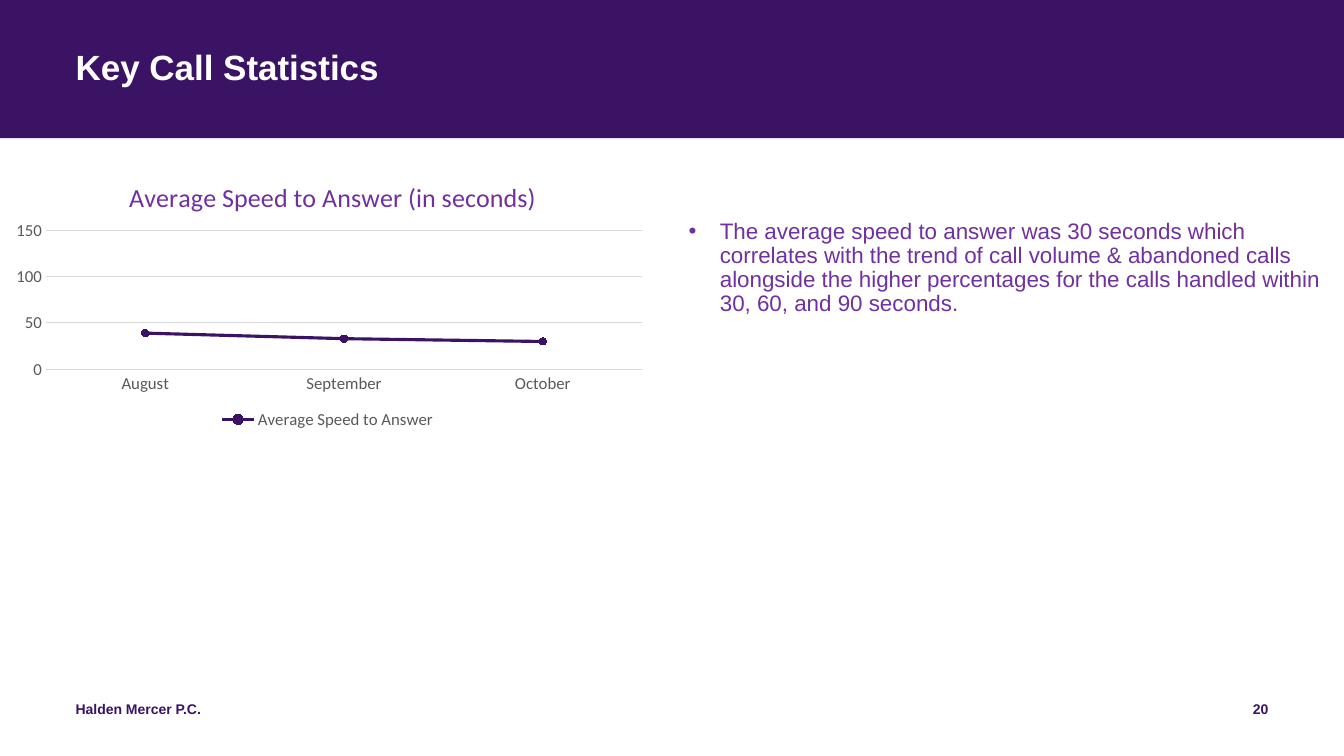
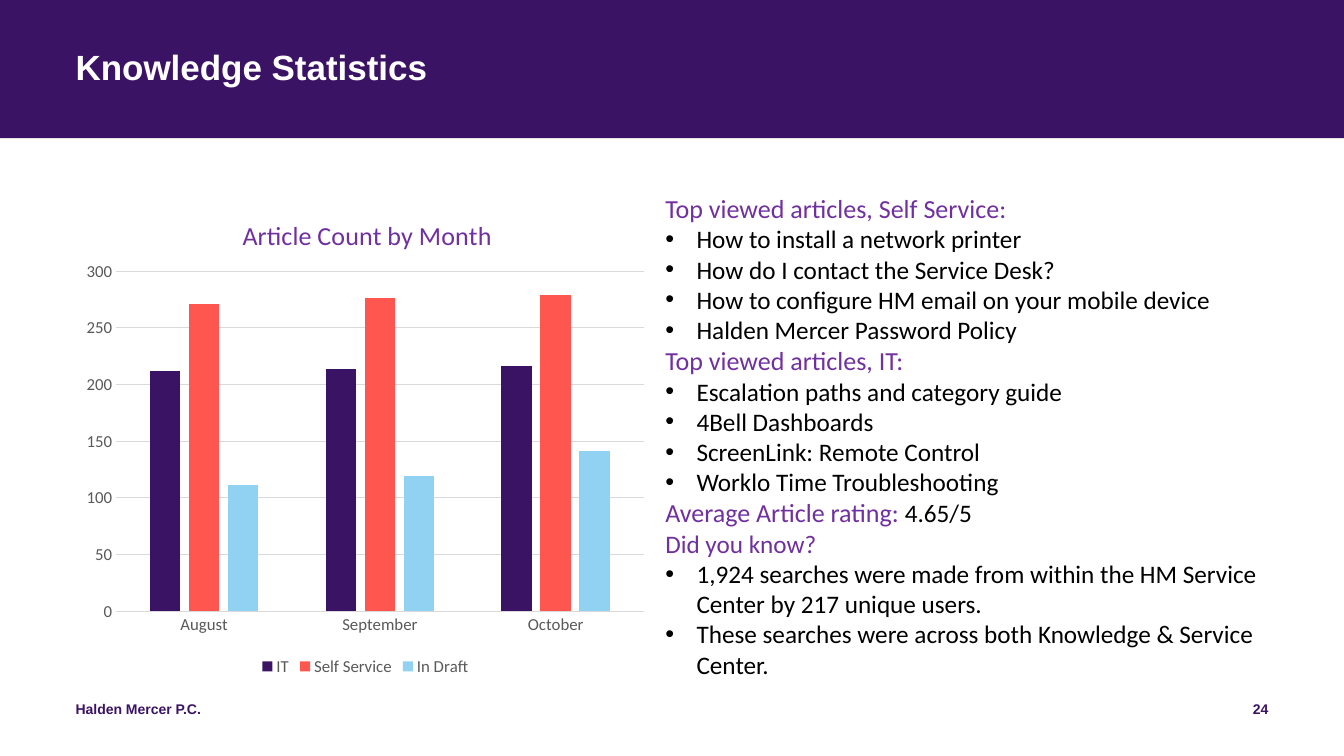
from dataclasses import dataclass

from pptx import Presentation
from pptx.chart.chart import Chart
from pptx.chart.data import CategoryChartData
from pptx.dml.color import RGBColor
from pptx.enum.chart import XL_CHART_TYPE, XL_LEGEND_POSITION, XL_MARKER_STYLE, XL_TICK_MARK
from pptx.enum.shapes import MSO_SHAPE
from pptx.enum.text import PP_ALIGN
from pptx.oxml import parse_xml
from pptx.oxml.ns import nsdecls, qn
from pptx.slide import Slide
from pptx.text.text import Font
from pptx.util import Inches, Pt


@dataclass(frozen=True)
class Theme:
    purple: str = "3B1365"
    violet: str = "7030A0"
    coral: str = "FF5750"
    sky: str = "91D2F2"
    white: str = "FFFFFF"
    black: str = "000000"
    axis_text: str = "595959"
    grid: str = "D9D9D9"
    heading_font: str = "Arial"
    body_font: str = "Calibri"
    title_size: float = 25
    heading_size: float = 18.6
    list_size: float = 18
    comment_size: float = 16
    axis_size: float = 12
    footer_size: float = 10


THEME = Theme()
SLIDE_WIDTH, SLIDE_HEIGHT = 13.33, 7.5
MONTHS = ("August", "September", "October")
FIRM = "Halden Mercer P.C."


@dataclass(frozen=True)
class Box:
    left: float
    top: float
    width: float
    height: float

    def emu(self) -> tuple[int, int, int, int]:
        return Inches(self.left), Inches(self.top), Inches(self.width), Inches(self.height)


@dataclass(frozen=True)
class Span:
    text: str
    color: str = THEME.black
    size: float = THEME.list_size


@dataclass(frozen=True)
class Line:
    spans: tuple[Span, ...]
    bullet: bool = False


@dataclass(frozen=True)
class Measure:
    name: str
    values: tuple[int, ...]
    color: str


@dataclass(frozen=True)
class ChartPlan:
    """Titles and plots are placed as fractions of the chart's box."""
    title: str
    kind: XL_CHART_TYPE
    box: Box
    measures: tuple[Measure, ...]
    axis_max: int
    title_at: tuple[float, float]
    plot_top: float
    plot_height: float


def heading(text: str, size: float = THEME.heading_size) -> Line:
    return Line((Span(text, THEME.violet, size),))


def bullets(*texts: str) -> list[Line]:
    return [Line((Span(text),), bullet=True) for text in texts]


def style_font(font: Font, *, face: str, size: float, color: str, bold: bool = False) -> None:
    font.name = face
    font.size = Pt(size)
    font.bold = bold
    font.color.rgb = RGBColor.from_string(color)


def add_text(slide: Slide, box: Box, lines: list[Line], *, face: str = THEME.heading_font,
             bold: bool = False, align: PP_ALIGN = PP_ALIGN.LEFT, spacing: float = 1,
             after: float = 0, insets: tuple[float, float] = (0, 0)) -> None:
    frame = slide.shapes.add_textbox(*box.emu()).text_frame
    frame.word_wrap = True
    frame.margin_left = frame.margin_right = Inches(insets[0])
    frame.margin_top = frame.margin_bottom = Inches(insets[1])
    for index, line in enumerate(lines):
        paragraph = frame.add_paragraph() if index else frame.paragraphs[0]
        paragraph.alignment = align
        paragraph.line_spacing = spacing
        paragraph.space_after = Pt(after)
        if line.bullet:
            add_bullet(paragraph._p.get_or_add_pPr())
        for span in line.spans:
            run = paragraph.add_run()
            run.text = span.text
            style_font(run.font, face=face, size=span.size, color=span.color, bold=bold)


def add_bullet(properties) -> None:
    indent = Inches(0.31)
    properties.set("marL", str(indent))
    properties.set("indent", str(-indent))
    properties.append(parse_xml(f'<a:buFont {nsdecls("a")} typeface="Arial"/>'))
    properties.append(parse_xml(f'<a:buChar {nsdecls("a")} char="•"/>'))


def add_framed_slide(deck: Presentation, title: str, number: int) -> Slide:
    """Add a slide with the title band and footer."""
    slide = deck.slides.add_slide(deck.slide_layouts[6])
    band = slide.shapes.add_shape(MSO_SHAPE.RECTANGLE, *Box(0, 0, SLIDE_WIDTH, 1.37).emu())
    band.shadow.inherit = False
    band.fill.solid()
    band.fill.fore_color.rgb = RGBColor.from_string(THEME.purple)
    band.line.fill.background()
    add_text(slide, Box(0.75, 0.5, 11.83, 0.81),
             [Line((Span(title, THEME.white, THEME.title_size),))], bold=True, spacing=0.9)
    for text, box, align in (
        (FIRM, Box(0.75, 6.95, 4.5, 0.4), PP_ALIGN.LEFT),
        (str(number), Box(9.58, 6.95, 3, 0.4), PP_ALIGN.RIGHT),
    ):
        add_text(slide, box, [Line((Span(text, THEME.purple, THEME.footer_size),))],
                 bold=True, align=align, after=6)
    return slide


def place(part, index: int, target: str = "", **fractions: float) -> None:
    """Give a chart title or plot area a manual layout."""
    for old in part.findall(qn("c:layout")):
        part.remove(old)
    inner = f'<c:layoutTarget val="{target}"/>' if target else ""
    modes = "".join(f'<c:{axis}Mode val="edge"/>' for axis in "xy")
    sizes = "".join(f'<c:{key} val="{value}"/>' for key, value in fractions.items())
    part.insert(index, parse_xml(
        f'<c:layout {nsdecls("c")}><c:manualLayout>{inner}{modes}{sizes}'
        f'</c:manualLayout></c:layout>'))


def style_axes(chart: Chart, maximum: int) -> None:
    months, amounts = chart.category_axis, chart.value_axis
    for axis in (months, amounts):
        axis.major_tick_mark = axis.minor_tick_mark = XL_TICK_MARK.NONE
        style_font(axis.tick_labels.font, face=THEME.body_font, size=THEME.axis_size,
                   color=THEME.axis_text)
    amounts.minimum_scale, amounts.maximum_scale, amounts.major_unit = 0, maximum, 50
    amounts.format.line.fill.background()
    amounts.has_major_gridlines = True
    for rule in (months.format.line, amounts.major_gridlines.format.line):
        rule.color.rgb = RGBColor.from_string(THEME.grid)
        rule.width = Pt(0.75)


def add_chart(slide: Slide, plan: ChartPlan) -> None:
    data = CategoryChartData()
    data.categories = MONTHS
    for measure in plan.measures:
        data.add_series(measure.name, measure.values)
    chart = slide.shapes.add_chart(plan.kind, *plan.box.emu(), data).chart
    style_font(chart.font, face=THEME.body_font, size=THEME.footer_size, color=THEME.black)

    chart.has_title = True
    title = chart.chart_title.text_frame
    title.text = plan.title
    style_font(title.paragraphs[0].runs[0].font, face=THEME.body_font,
               size=THEME.heading_size, color=THEME.violet)
    chart.has_legend = True
    chart.legend.position = XL_LEGEND_POSITION.BOTTOM
    chart.legend.include_in_layout = False
    style_font(chart.legend.font, face=THEME.body_font, size=THEME.axis_size,
               color=THEME.axis_text)
    style_axes(chart, plan.axis_max)

    plot = chart.plots[0]
    plot.vary_by_categories = False
    is_line = plan.kind == XL_CHART_TYPE.LINE_MARKERS
    if not is_line:
        plot.gap_width, plot.overlap = 219, -27
    for series, measure in zip(plot.series, plan.measures):
        color = RGBColor.from_string(measure.color)
        if is_line:
            series.smooth = False
            series.format.line.color.rgb = color
            series.format.line.width = Pt(2.25)
            series.marker.style = XL_MARKER_STYLE.CIRCLE
            series.marker.size = 5
            series.marker.format.line.color.rgb = color
            fill = series.marker.format.fill
        else:
            fill = series.format.fill
        fill.solid()
        fill.fore_color.rgb = color

    x, y = plan.title_at
    place(chart.element.find(f'.//{qn("c:title")}'), 1, x=x, y=y)
    place(chart.element.find(f'.//{qn("c:plotArea")}'), 0, "inner",
          x=0.07, y=plan.plot_top, w=0.91, h=plan.plot_height)


ANSWER_SPEED = ChartPlan(
    "Average Speed to Answer (in seconds)", XL_CHART_TYPE.LINE_MARKERS,
    Box(0, 1.54, 6.5, 2.76),
    (Measure("Average Speed to Answer", (39, 33, 30), THEME.purple),),
    axis_max=150, title_at=(0.19, 0.07), plot_top=0.27, plot_height=0.5,
)
ARTICLE_COUNT = ChartPlan(
    "Article Count by Month", XL_CHART_TYPE.COLUMN_CLUSTERED,
    Box(0.75, 1.86, 5.75, 4.89),
    (
        Measure("IT", (212, 214, 216), THEME.purple),
        Measure("Self Service", (271, 276, 279), THEME.coral),
        Measure("In Draft", (111, 119, 141), THEME.sky),
    ),
    axis_max=300, title_at=(0.28, 0.05), plot_top=0.17, plot_height=0.69,
)
SPEED_COMMENT = (
    "The average speed to answer was 30 seconds which correlates with the trend of call "
    "volume & abandoned calls alongside the higher percentages for the calls handled within "
    "30, 60, and 90 seconds."
)
ARTICLE_NOTES = [
    heading("Top viewed articles, Self Service:"),
    *bullets(
        "How to install a network printer",
        "How do I contact the Service Desk?",
        "How to configure HM email on your mobile device",
        "Halden Mercer Password Policy",
    ),
    heading("Top viewed articles, IT:"),
    *bullets(
        "Escalation paths and category guide",
        "4Bell Dashboards",
        "ScreenLink: Remote Control",
        "Worklo Time Troubleshooting",
    ),
    Line((Span("Average Article rating: ", THEME.violet, THEME.heading_size), Span("4.65/5"))),
    heading("Did you know?", THEME.list_size),
    *bullets(
        "1,924 searches were made from within the HM Service Center by 217 unique users.",
        "These searches were across both Knowledge & Service Center.",
    ),
]


def main() -> None:
    deck = Presentation()
    deck.slide_width, deck.slide_height = Inches(SLIDE_WIDTH), Inches(SLIDE_HEIGHT)

    calls = add_framed_slide(deck, "Key Call Statistics", 20)
    add_chart(calls, ANSWER_SPEED)
    comment = Line((Span(SPEED_COMMENT, THEME.violet, THEME.comment_size),), bullet=True)
    add_text(calls, Box(6.83, 2.18, 6.5, 2.12), [comment], spacing=0.9, after=6)

    knowledge = add_framed_slide(deck, "Knowledge Statistics", 24)
    add_chart(knowledge, ARTICLE_COUNT)
    add_text(knowledge, Box(6.5, 1.86, 6.32, 4.98), ARTICLE_NOTES,
             face=THEME.body_font, insets=(0.1, 0.05))

    deck.save("out.pptx")


if __name__ == "__main__":
    main()
